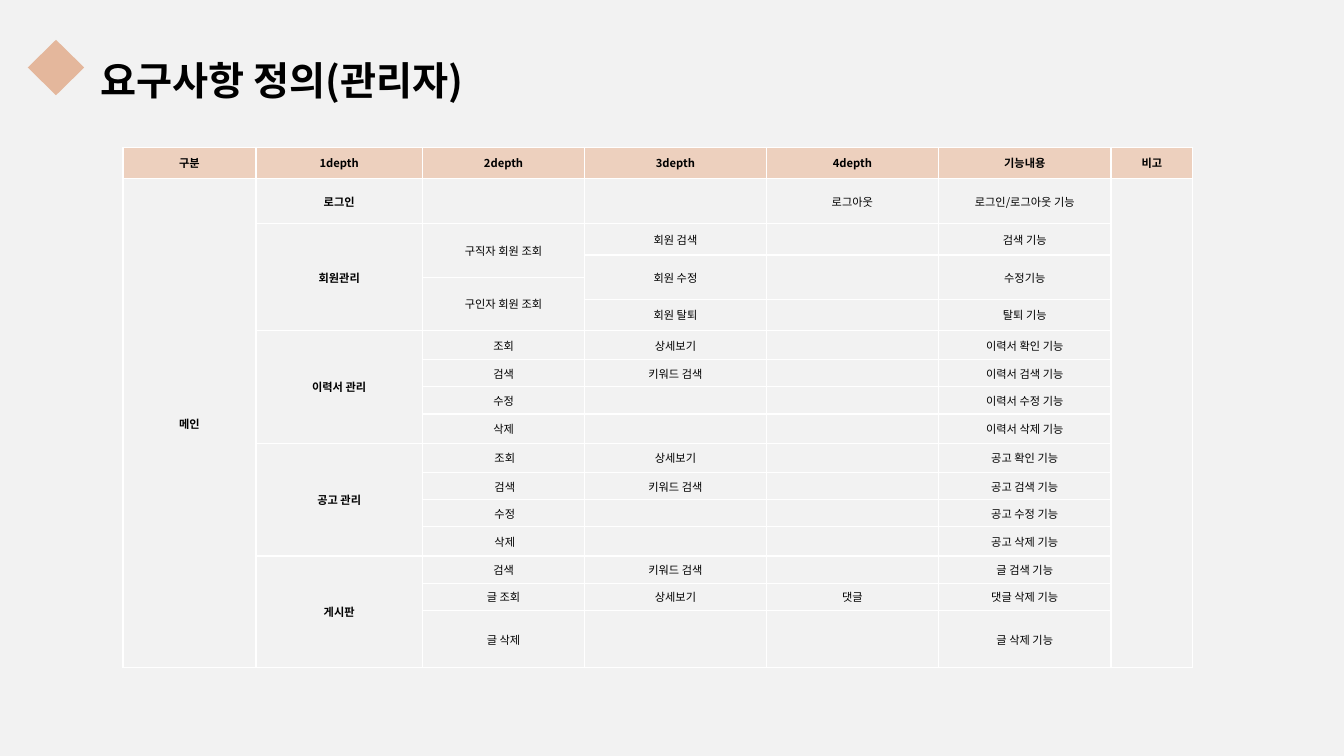
from lxml.etree import SubElement
from pptx import Presentation
from pptx.dml.color import RGBColor
from pptx.enum.shapes import MSO_SHAPE as SHAPE
from pptx.enum.text import MSO_ANCHOR as ANCHOR, MSO_AUTO_SIZE as AUTO, PP_ALIGN as ALIGN
from pptx.oxml.ns import qn
from pptx.util import Inches, Pt

FONT = "Noto Sans CJK KR"
BACKGROUND = RGBColor(0xF2, 0xF2, 0xF2)
BLACK = RGBColor(0, 0, 0)
PEACH = RGBColor(0xE4, 0xB7, 0x9C)
HEADER = RGBColor(0xED, 0xD0, 0xBE)
WHITE = RGBColor(0xFF, 0xFF, 0xFF)

COLUMNS = [1.32, 1.65, 1.61, 1.8, 1.71, 1.71, 0.81]
HEIGHTS = [0.31, 0.45, 0.31, 0.22, 0.22, 0.31, 0.29, 0.27, 0.27,
           0.29, 0.29, 0.27, 0.27, 0.29, 0.27, 0.27, 0.57]
ROWS = [
    ["구분", "1depth", "2depth", "3depth", "4depth", "기능내용", "비고"],
    ["메인", "로그인", "", "", "로그아웃", "로그인/로그아웃 기능", ""],
    ["", "회원관리", "구직자 회원 조회", "회원 검색", "", "검색 기능", ""],
    ["", "", "", "회원 수정", "", "수정기능", ""],
    ["", "", "구인자 회원 조회", "", "", "", ""],
    ["", "", "", "회원 탈퇴", "", "탈퇴 기능", ""],
    ["", "이력서 관리", "조회", "상세보기", "", "이력서 확인 기능", ""],
    ["", "", "검색", "키워드 검색", "", "이력서 검색 기능", ""],
    ["", "", "수정", "", "", "이력서 수정 기능", ""],
    ["", "", "삭제", "", "", "이력서 삭제 기능", ""],
    ["", "공고 관리", " 조회", "상세보기", "", "공고 확인 기능", ""],
    ["", "", " 검색", "키워드 검색", "", "공고 검색 기능", ""],
    ["", "", " 수정", "", "", "공고 수정 기능", ""],
    ["", "", " 삭제", "", "", "공고 삭제 기능", ""],
    ["", "게시판", "검색", "키워드 검색", "", "글 검색 기능", ""],
    ["", "", "글 조회", "상세보기", "댓글", "댓글 삭제 기능", ""],
    ["", "", "글 삭제", "", "", "글 삭제 기능", ""],
]
MERGES = [(1, 0, 16), (1, 6, 16), (2, 1, 4), (6, 1, 4), (10, 1, 4), (14, 1, 3),
          (2, 2, 2), (4, 2, 2), (3, 3, 2), (3, 4, 2), (3, 5, 2)]


def style_paragraph(p, size, bold):
    p.font.size = Pt(size)
    p.font.bold = bold
    p.font.color.rgb = BLACK
    p.font.name = FONT
    SubElement(p.font._element, qn("a:ea"), typeface=FONT)
    p._p.get_or_add_endParaRPr().set("sz", str(size * 100))


def add_title(s, text):
    tf = s.shapes.add_textbox(Inches(0.9), Inches(0.28), Inches(4.76), Inches(0.81)).text_frame
    tf.word_wrap = True
    tf.auto_size = AUTO.SHAPE_TO_FIT_TEXT
    p = tf.paragraphs[0]
    p.text = text
    p.line_spacing = 1.5
    style_paragraph(p, 28, True)


def add_diamond(s):
    sp = s.shapes.add_shape(SHAPE.DIAMOND, Inches(0.28), Inches(0.39), Inches(0.55), Inches(0.56))
    sp.rotation = 90
    sp.shadow.inherit = False
    sp.fill.solid()
    sp.fill.fore_color.rgb = PEACH
    sp.line.fill.background()


def add_borders(cell):
    tc_pr = cell._tc.get_or_add_tcPr()
    for side in ("lnL", "lnR", "lnT", "lnB"):
        line = SubElement(tc_pr, qn(f"a:{side}"), w=str(Pt(1)))
        fill = SubElement(line, qn("a:solidFill"))
        SubElement(fill, qn("a:srgbClr"), val=str(WHITE))


def fill_cell(cell, text, is_header, bold):
    add_borders(cell)
    if is_header:
        cell.fill.solid()
        cell.fill.fore_color.rgb = HEADER
    else:
        cell.fill.background()
    cell.vertical_anchor = ANCHOR.MIDDLE
    cell.margin_top = cell.margin_bottom = Inches(0.03)
    p = cell.text_frame.paragraphs[0]
    if text:
        p.text = text
    p.alignment = ALIGN.CENTER
    style_paragraph(p, 8, bold)


def add_requirements(s):
    table = s.shapes.add_table(len(ROWS), len(COLUMNS), Inches(1.22), Inches(1.46),
                               Inches(sum(COLUMNS)), Inches(sum(HEIGHTS))).table
    for column, width in zip(table.columns, COLUMNS):
        column.width = Inches(width)
    for row, height in zip(table.rows, HEIGHTS):
        row.height = Inches(height)
    for r, texts in enumerate(ROWS):
        for c, text in enumerate(texts):
            fill_cell(table.cell(r, c), text, r == 0, r == 0 or c < 2)
    for r, c, count in MERGES:
        table.cell(r, c).merge(table.cell(r + count - 1, c))


def main():
    prs = Presentation()
    prs.slide_width, prs.slide_height = Inches(13.33), Inches(7.5)
    s = prs.slides.add_slide(prs.slide_layouts[6])
    s.background.fill.solid()
    s.background.fill.fore_color.rgb = BACKGROUND
    add_title(s, "요구사항 정의(관리자)")
    add_diamond(s)
    add_requirements(s)
    prs.save("out.pptx")


if __name__ == "__main__":
    main()
